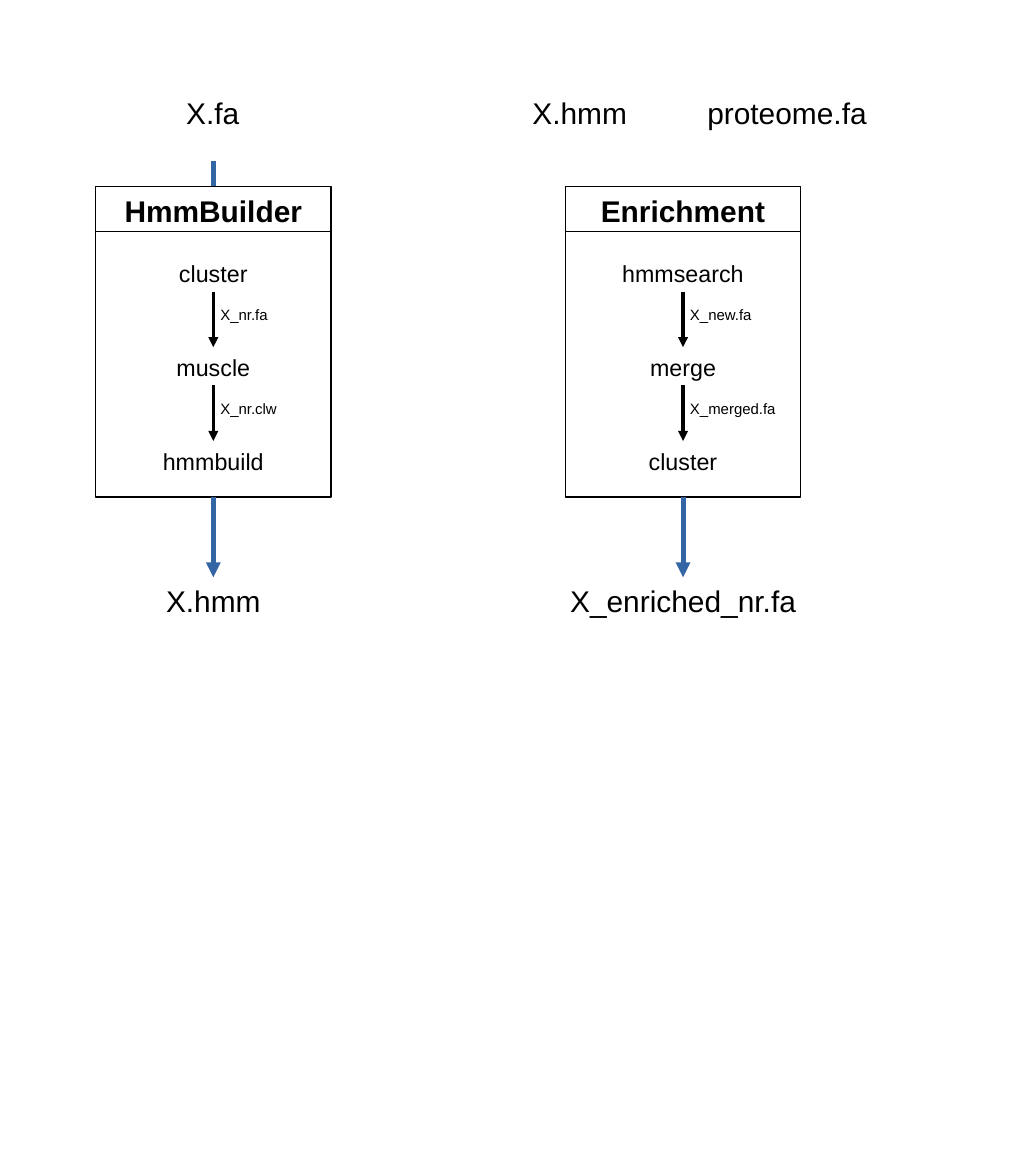
"""Build a slide with two sequence-analysis workflows side by side."""
import pptx
import pptx.util
import pptx.dml.color
import pptx.enum.shapes
import pptx.enum.text
import pptx.oxml
import pptx.oxml.ns

Inches = pptx.util.Inches
Pt = pptx.util.Pt
ALIGN = pptx.enum.text.PP_ALIGN

WORKFLOWS = [
    {"name": "HmmBuilder", "left": 0.8, "feeds_in": True,
     "steps": ["cluster", "muscle", "hmmbuild"],
     "files": [("X_nr.fa", 0.75), ("X_nr.clw", 0.75)],
     "inputs": [("X.fa", 1.27, 1.02, 0.61)],
     "output": ("X.hmm", 1.02, 1.17)},
    {"name": "Enrichment", "left": 4.73, "feeds_in": False,
     "steps": ["hmmsearch", "merge", "cluster"],
     "files": [("X_new.fa", 0.86), ("X_merged.fa", 0.94)],
     "inputs": [("X.hmm", 4.34, 1.02, 1.17), ("proteome.fa", 5.72, 1.73, 0.89)],
     "output": ("X_enriched_nr.fa", 2.28, 0.89)},
]

THEME = {
    "font": "Arial", "ink": "000000", "flow": "3465A4",
    "large": 18, "step": 14, "file": 9,
    "border": 0.79, "hairline": 0, "thick": 3,
}

PANEL_TOP, PANEL_WIDTH, PANEL_HEIGHT = 1.56, 1.97, 2.6
HEADING_HEIGHT, RULE_TOP = 0.89, 1.94
STEP_TOP, STEP_PITCH, STEP_WIDTH, STEP_HEIGHT = 2.12, 0.785, 1.81, 0.32
FILE_SHIFT, FILE_DROP, FILE_HEIGHT = -0.04, 0.39, 0.24
INPUT_TOP, INPUT_ARROW_TOP, OUTPUT_TOP = 0.74, 1.35, 4.83


def color(name):
    return pptx.dml.color.RGBColor.from_string(THEME[name])


def add_label(page, text, left, top, width, height, size, align=ALIGN.CENTER, bold=False):
    box = page.shapes.add_textbox(*map(Inches, (left, top, width, height)))
    box.text_frame.word_wrap = True
    para = box.text_frame.paragraphs[0]
    para.alignment = align
    span = para.add_run()
    span.text = text
    font_format = {"name": THEME["font"], "size": Pt(THEME[size]), "bold": bold}
    for key, value in font_format.items():
        setattr(span.font, key, value)
    span.font.color.rgb = color("ink")
    return box


def add_line(page, start, end, ink, weight, source=None, target=None, arrow=False):
    line = page.shapes.add_connector(
        pptx.enum.shapes.MSO_CONNECTOR.STRAIGHT, *map(Inches, (*start, *end)))
    if source is not None:
        line.begin_connect(source, 2)
    if target is not None:
        line.end_connect(target, 0)
    line.line.color.rgb = color(ink)
    line.line.width = Pt(THEME[weight])
    if arrow:
        head = pptx.oxml.parse_xml(
            f'<a:tailEnd {pptx.oxml.ns.nsdecls("a")} type="triangle"/>')
        line.line._get_or_add_ln().append(head)
    effects = pptx.oxml.parse_xml(f'<a:effectLst {pptx.oxml.ns.nsdecls("a")}/>')
    line._element.spPr.append(effects)


def add_panel(page, left):
    panel = page.shapes.add_shape(
        pptx.enum.shapes.MSO_SHAPE.RECTANGLE,
        *map(Inches, (left, PANEL_TOP, PANEL_WIDTH, PANEL_HEIGHT)))
    panel.shadow.inherit = False
    panel.fill.background()
    panel.line.color.rgb = color("ink")
    panel.line.width = Pt(THEME["border"])
    return panel


def add_steps(page, workflow, center):
    tops = [STEP_TOP + STEP_PITCH * index for index in range(len(workflow["steps"]))]
    boxes = [add_label(page, step, center - STEP_WIDTH / 2, top,
                       STEP_WIDTH, STEP_HEIGHT, "step")
             for step, top in zip(workflow["steps"], tops)]
    for index, (name, width) in enumerate(workflow["files"]):
        add_line(page, (center, tops[index] + STEP_HEIGHT), (center, tops[index + 1]),
                 "ink", "hairline", boxes[index], boxes[index + 1], arrow=True)
        add_label(page, name, center + FILE_SHIFT, tops[index] + FILE_DROP,
                  width, FILE_HEIGHT, "file", ALIGN.LEFT)


def add_workflow(page, workflow):
    left = workflow["left"]
    center = left + PANEL_WIDTH / 2
    bottom = PANEL_TOP + PANEL_HEIGHT
    panel = add_panel(page, left)
    add_steps(page, workflow, center)
    add_label(page, workflow["name"], left, PANEL_TOP, PANEL_WIDTH,
              HEADING_HEIGHT, "large", bold=True)
    add_line(page, (left, RULE_TOP), (left + PANEL_WIDTH, RULE_TOP), "ink", "border")
    for name, input_left, width, height in workflow["inputs"]:
        add_label(page, name, input_left, INPUT_TOP, width, height, "large")
    if workflow["feeds_in"]:
        add_line(page, (center, INPUT_ARROW_TOP), (center, PANEL_TOP),
                 "flow", "thick", target=panel)
    name, width, height = workflow["output"]
    result = add_label(page, name, center - width / 2, OUTPUT_TOP, width, height, "large")
    add_line(page, (center, bottom), (center, OUTPUT_TOP),
             "flow", "thick", panel, result, arrow=True)


def main():
    deck = pptx.Presentation()
    deck.slide_width, deck.slide_height = Inches(8.66), Inches(9.84)
    page = deck.slides.add_slide(deck.slide_layouts[6])
    for workflow in WORKFLOWS:
        add_workflow(page, workflow)
    deck.save("out.pptx")


if __name__ == "__main__":
    main()
